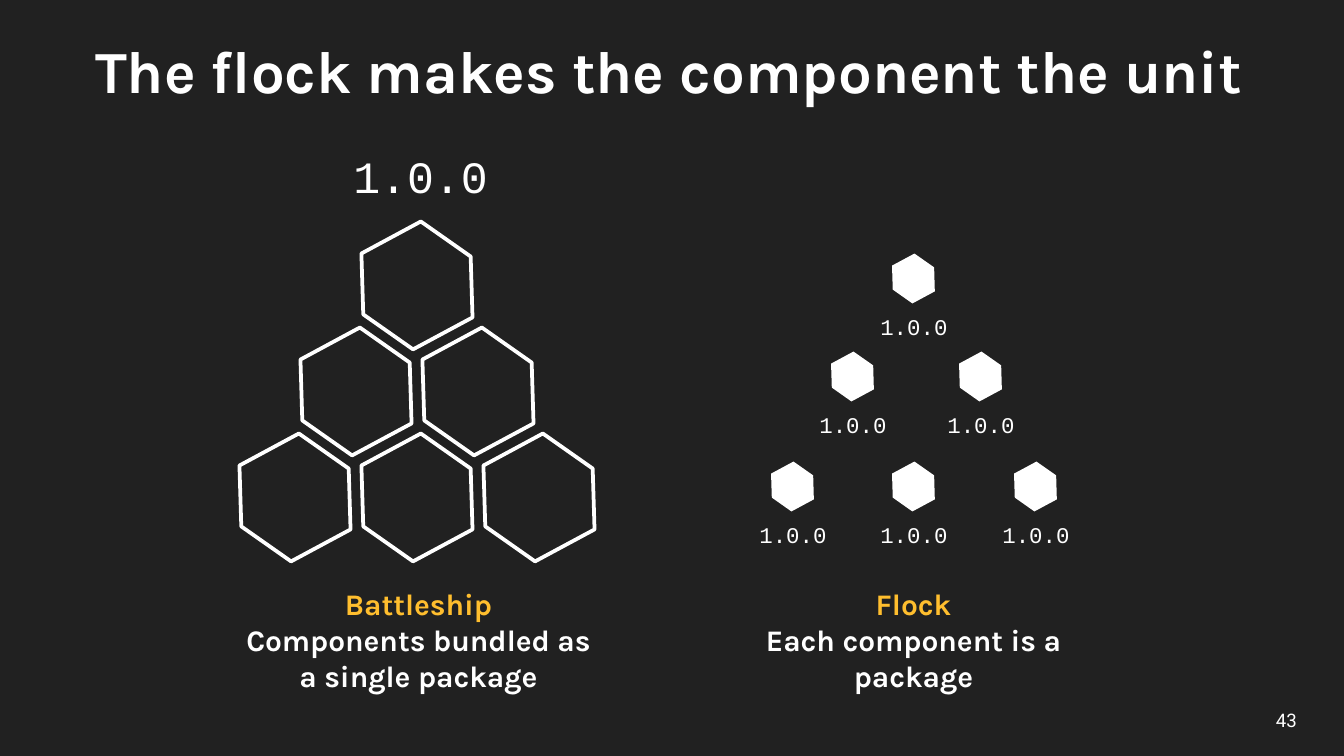
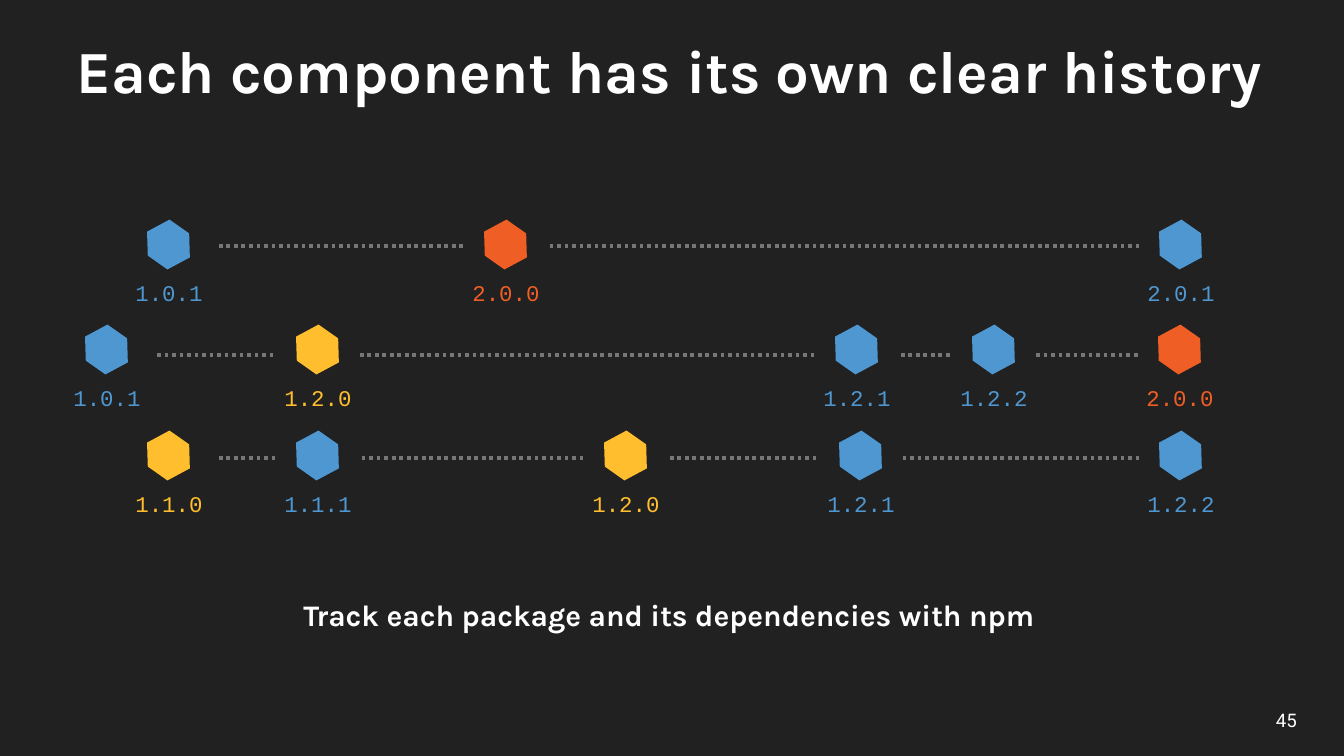
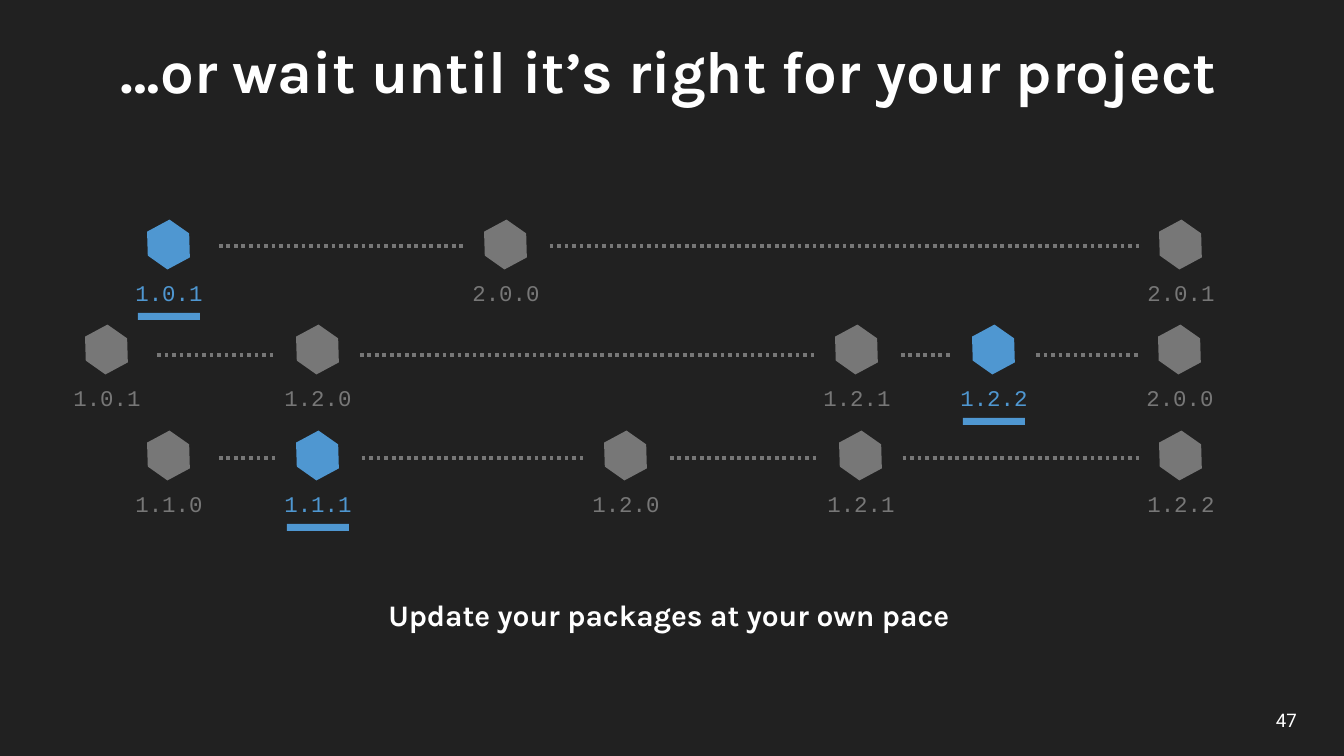
from typing import NamedTuple

from lxml.etree import SubElement
from pptx import Presentation
from pptx.dml.color import RGBColor
from pptx.enum.dml import MSO_LINE
from pptx.enum.shapes import MSO_CONNECTOR, MSO_SHAPE
from pptx.enum.text import MSO_ANCHOR, MSO_AUTO_SIZE, PP_ALIGN
from pptx.oxml.ns import qn
from pptx.util import Emu, Pt

EMU_PER_PX = 914400 / 134.4

DARK, WHITE, GRAY = "212121", "FFFFFF", "777777"
BLUE, YELLOW, ORANGE = "4F97D1", "FFBE2E", "EF5E25"

TITLE = {"name": "Karla", "size": Pt(32), "bold": True}
CAPTION = {"name": "Karla", "size": Pt(16), "bold": True}
BIG_VERSION = {"name": "Courier New", "size": Pt(24)}
VERSION = {"name": "Courier New", "size": Pt(12)}
PAGE = {"name": "Roboto", "size": Pt(10)}
PADDED = {f"margin_{side}": Emu(91440) for side in ("left", "top", "right", "bottom")}
GROWING = {"word_wrap": True, "auto_size": MSO_AUTO_SIZE.SHAPE_TO_FIT_TEXT}
FIXED = {"word_wrap": True, "auto_size": MSO_AUTO_SIZE.NONE,
         "vertical_anchor": MSO_ANCHOR.MIDDLE, **PADDED}

HISTORY = [
    (36, [(86, "1.0.1"), (423, "2.0.0"), (1098, "2.0.1")]),
    (145, [(24, "1.0.1"), (235, "1.2.0"), (774, "1.2.1"), (911, "1.2.2"), (1097, "2.0.0")]),
    (248, [(86, "1.1.0"), (235, "1.1.1"), (543, "1.2.0"), (778, "1.2.1"), (1098, "1.2.2")]),
]
CHOSEN = ("1.0.1", "1.2.2", "1.1.1")
FLOCK_ROWS = [(0, (146,)), (98, (85, 213)), (208, (25, 146, 268))]


class Box(NamedTuple):
    """A rectangle in px."""
    left: int
    top: int
    width: int
    height: int

    def inner(self, left, top, width, height):
        """Return a box placed relative to this one."""
        return Box(self.left + left, self.top + top, width, height)

    def emu(self):
        """Return the four lengths in EMU."""
        return [px(length) for length in self]


def px(length):
    """Turn px into EMU."""
    return Emu(round(length * EMU_PER_PX))


def color(hex_code):
    """Turn a hex string into a colour."""
    return RGBColor.from_string(hex_code)


def apply(target, values):
    """Set each format value on the target."""
    for attribute, value in values.items():
        setattr(target, attribute, value)


def write(frame, lines, font, frame_format, align=PP_ALIGN.CENTER, spacing=None):
    """Fill a text frame with (text, colour) lines."""
    apply(frame, frame_format)
    for index, (text, hex_code) in enumerate(lines):
        paragraph = frame.add_paragraph() if index else frame.paragraphs[0]
        apply(paragraph, {"text": text, "alignment": align, "line_spacing": spacing})
        run_font = paragraph.runs[0].font
        apply(run_font, font)
        run_font.color.rgb = color(hex_code)


def add_text(shapes, box, lines, font, frame_format=GROWING, align=PP_ALIGN.CENTER):
    """Add a text box."""
    write(shapes.add_textbox(*box.emu()).text_frame, lines, font, frame_format, align)


def add_solid(shapes, preset, box, fill, rotation=0):
    """Add a filled shape without outline."""
    solid = shapes.add_shape(preset, *box.emu())
    apply(solid, {"rotation": rotation})
    solid.shadow.inherit = False
    solid.fill.solid()
    solid.fill.fore_color.rgb = color(fill)
    solid.line.fill.background()
    return solid


def add_hexagon(shapes, box, fill):
    """Add a hexagon turned to stand on its tip."""
    return add_solid(shapes, MSO_SHAPE.HEXAGON, box, fill, 331.7)


def add_component(shapes, spot, version, hex_code):
    """Add a small hexagon with its version below."""
    add_hexagon(shapes, spot, hex_code)
    add_text(shapes, spot.inner(-25, 50, 98, 40), [(version, hex_code)], VERSION)


def add_dotted_line(shapes, left, right, y):
    """Add a horizontal dotted line."""
    line = shapes.add_connector(MSO_CONNECTOR.STRAIGHT, px(left), px(y), px(right), px(y))
    line.line.color.rgb = color(GRAY)
    apply(line.line, {"width": Pt(2), "dash_style": MSO_LINE.ROUND_DOT})
    SubElement(line._element.spPr, qn("a:effectLst"))


def release_color(version):
    """Colour a version as a major, minor or patch release."""
    if version.endswith(".0.0"):
        return ORANGE
    return YELLOW if version.endswith(".0") else BLUE


def add_titled_slide(deck, title, page):
    """Add a slide with its title and page number."""
    slide = deck.slides.add_slide(deck.slide_layouts[5])
    heading = slide.shapes.title
    left, top, width, height = Box(39, 34, 1261, 79).emu()
    apply(heading, {"left": left, "top": top, "width": width, "height": height})
    write(heading.text_frame, [(title, WHITE)], TITLE, FIXED, spacing=0.95)
    add_text(slide.shapes, Box(1008, 700, 302, 40), [(page, WHITE)], PAGE, FIXED, PP_ALIGN.RIGHT)
    return slide


def add_battleship(slide, box):
    """Add the pyramid of outlined hexagons under one version."""
    shapes = slide.shapes.add_group_shape().shapes
    pitch_x, pitch_y = 122, 106
    for row in range(3):
        for column in range(row + 1):
            left = 123 + column * pitch_x - row * pitch_x // 2
            cell = add_hexagon(shapes, box.inner(left, 89 + row * pitch_y, 122, 109), WHITE)
            cell.fill.background()
            cell.line.color.rgb = color(WHITE)
            cell.line.width = Pt(2)
    add_text(shapes, box.inner(0, 0, 375, 67), [("1.0.0", WHITE)], BIG_VERSION)


def add_flock(slide, box):
    """Add the pyramid of separately versioned components."""
    shapes = slide.shapes.add_group_shape().shapes
    for top, lefts in FLOCK_ROWS:
        for left in lefts:
            add_component(shapes, box.inner(left, top, 47, 43), "1.0.0", WHITE)


def add_caption(slide, box, name, meaning):
    """Add a highlighted name with its meaning."""
    add_text(slide.shapes, box, [(name, YELLOW), (meaning, WHITE)], CAPTION)


def add_history(slide, box, chosen=()):
    """Add the release timelines, dimming all but the chosen versions."""
    shapes = slide.shapes.add_group_shape().shapes
    for row, (line_y, releases) in enumerate(HISTORY):
        add_dotted_line(shapes, box.left + releases[0][0] + 74, box.left + box.width - 26,
                        box.top + line_y)
        for index, (left, version) in enumerate(releases):
            spot = box.inner(left, 13 + row * 211 // 2, 47, 43)
            picked = bool(chosen) and version == chosen[row]
            if index:
                add_solid(shapes, MSO_SHAPE.RECTANGLE, spot.inner(-17, -14, 81, 69), DARK)
            shown = GRAY if chosen and not picked else release_color(version)
            add_component(shapes, spot, version, shown)
            if picked:
                add_solid(shapes, MSO_SHAPE.RECTANGLE, spot.inner(-7, 90, 62, 7), BLUE)


def add_comparison_slide(deck, title, page):
    """Add the battleship and flock slide."""
    slide = add_titled_slide(deck, title, page)
    add_battleship(slide, Box(233, 142, 375, 411))
    add_caption(slide, Box(231, 579, 375, 122), "Battleship",
                "Components bundled as a single package")
    add_flock(slide, Box(744, 257, 341, 299))
    add_caption(slide, Box(726, 579, 375, 122), "Flock", "Each component is a package")


def add_history_slide(deck, title, page, message, chosen=()):
    """Add a slide of release timelines with a message."""
    slide = add_titled_slide(deck, title, page)
    add_history(slide, Box(59, 210, 1171, 322), chosen)
    add_text(slide.shapes, Box(223, 590, 892, 50), [(message, WHITE)], CAPTION)


def main():
    """Build the deck."""
    deck = Presentation()
    apply(deck, {"slide_width": px(1344), "slide_height": px(756)})
    backdrop = deck.slide_master.background.fill
    backdrop.solid()
    backdrop.fore_color.rgb = color(DARK)
    add_comparison_slide(deck, "The flock makes the component the unit", "43")
    add_history_slide(deck, "Each component has its own clear history", "45",
                      "Track each package and its dependencies with npm")
    add_history_slide(deck, "…or wait until it’s right for your project", "47",
                      "Update your packages at your own pace", CHOSEN)
    deck.save("out.pptx")


if __name__ == "__main__":
    main()
